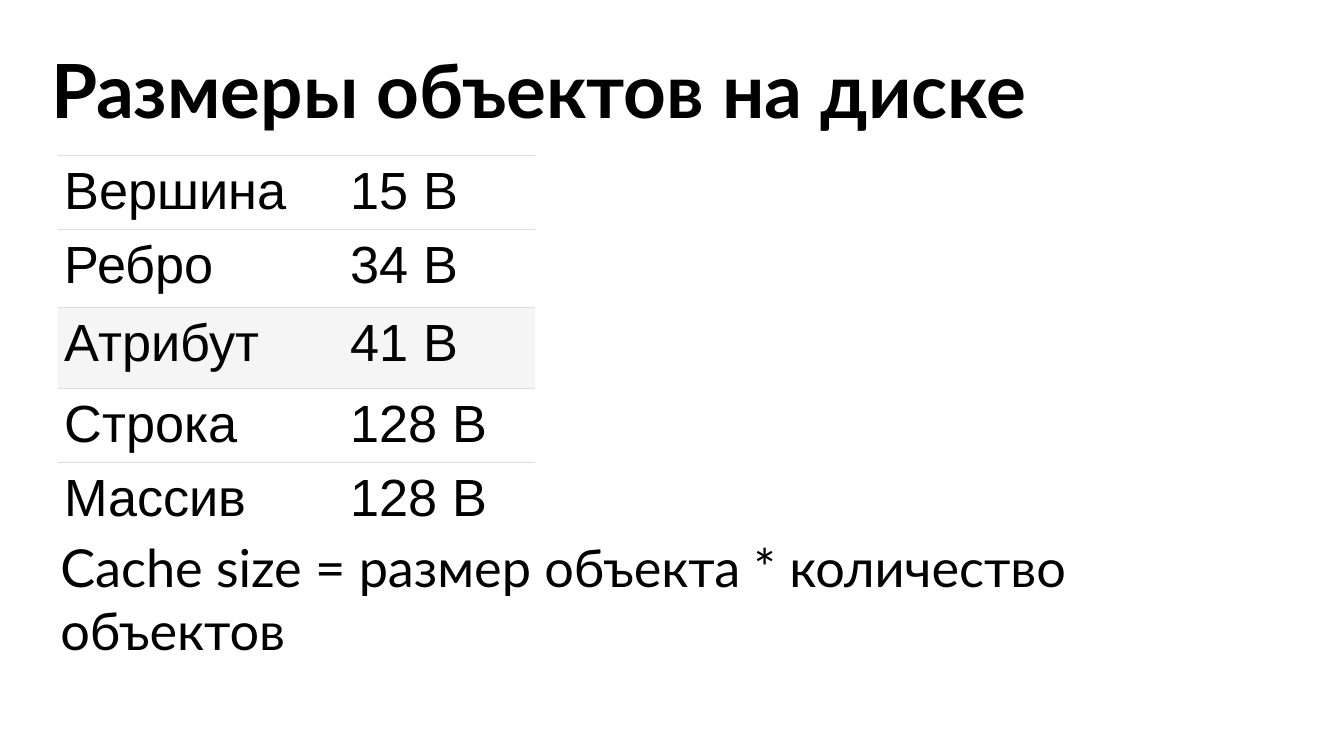
from lxml import etree
from pptx import Presentation
from pptx.dml.color import RGBColor
from pptx.enum.text import MSO_ANCHOR, PP_ALIGN
from pptx.oxml.ns import qn
from pptx.util import Inches, Pt

MIDDLE = MSO_ANCHOR.MIDDLE
LEFT = PP_ALIGN.LEFT
NO_STYLE = "{2D5ABB26-0587-4C30-8999-92F81FD0307C}"
SIZES = [("Вершина", "15 B"), ("Ребро", "34 B"), ("Атрибут", "41 B"),
         ("Строка", "128 B"), ("Массив", "128 B")]
ROW_HEIGHTS = [0.55, 0.58, 0.6, 0.55, 0.32]
COLUMN_WIDTHS = [2.13, 1.42]
HIGHLIGHTED_ROW = 2


def color(hex_value):
    return RGBColor.from_string(hex_value)


def write(text_frame, text, font_name, size, bold=False):
    text_frame.text = text
    paragraph = text_frame.paragraphs[0]
    paragraph.alignment = LEFT
    paragraph.font.name = font_name
    paragraph.font.size = Pt(size)
    paragraph.font.bold = bold
    paragraph.font.color.rgb = color("000000")


# Widescreen slide, 16:9
presentation = Presentation()
presentation.slide_width = Inches(10)
presentation.slide_height = Inches(10) * 9 // 16
slide = presentation.slides.add_slide(presentation.slide_layouts[5])

# Title
title = slide.shapes.title
title.left, title.top = Inches(0.28), Inches(0.28)
title.width, title.height = Inches(9.45), Inches(0.76)
title.text_frame.vertical_anchor = MIDDLE
write(title.text_frame, "Размеры объектов на диске", "Lato", 40, bold=True)

# Table of object sizes
frame = slide.shapes.add_table(len(SIZES), len(COLUMN_WIDTHS), Inches(0.43), Inches(1.16),
                               Inches(3.54), Inches(2.85))
table = frame.table
table.first_row = False
table.horz_banding = False
frame._element.find(".//" + qn("a:tableStyleId")).text = NO_STYLE
for column, width in zip(table.columns, COLUMN_WIDTHS):
    column.width = Inches(width)

for row_index, values in enumerate(SIZES):
    table.rows[row_index].height = Inches(ROW_HEIGHTS[row_index])
    is_last = row_index == len(SIZES) - 1
    for column_index, value in enumerate(values):
        cell = table.cell(row_index, column_index)
        cell.margin_left = cell.margin_right = Inches(0.05)
        cell.margin_top = cell.margin_bottom = Inches(0.05)
        write(cell.text_frame, value, "Arial", 28)

        # Thin rules between rows, none under the last one
        properties = cell._tc.get_or_add_tcPr()
        for edge in ["a:lnT"] if is_last else ["a:lnT", "a:lnB"]:
            line = etree.SubElement(properties, qn(edge), w=str(Pt(0.75)))
            line_fill = etree.SubElement(line, qn("a:solidFill"))
            etree.SubElement(line_fill, qn("a:srgbClr"), val="DDDDDD")

        cell.fill.solid()
        cell.fill.fore_color.rgb = color("F5F5F5" if row_index == HIGHLIGHTED_ROW else "FFFFFF")

# The last row grows to fit its text
frame.height = Inches(2.85)

# Cache size formula
formula = slide.shapes.add_textbox(Inches(0.35), Inches(4.07), Inches(9.45), Inches(0.76))
formula.text_frame.word_wrap = True
formula.text_frame.vertical_anchor = MIDDLE
formula.text_frame.margin_right = Inches(0.2)
write(formula.text_frame, "Cache size = размер объекта * количество объектов", "Lato", 28)

presentation.save("out.pptx")
